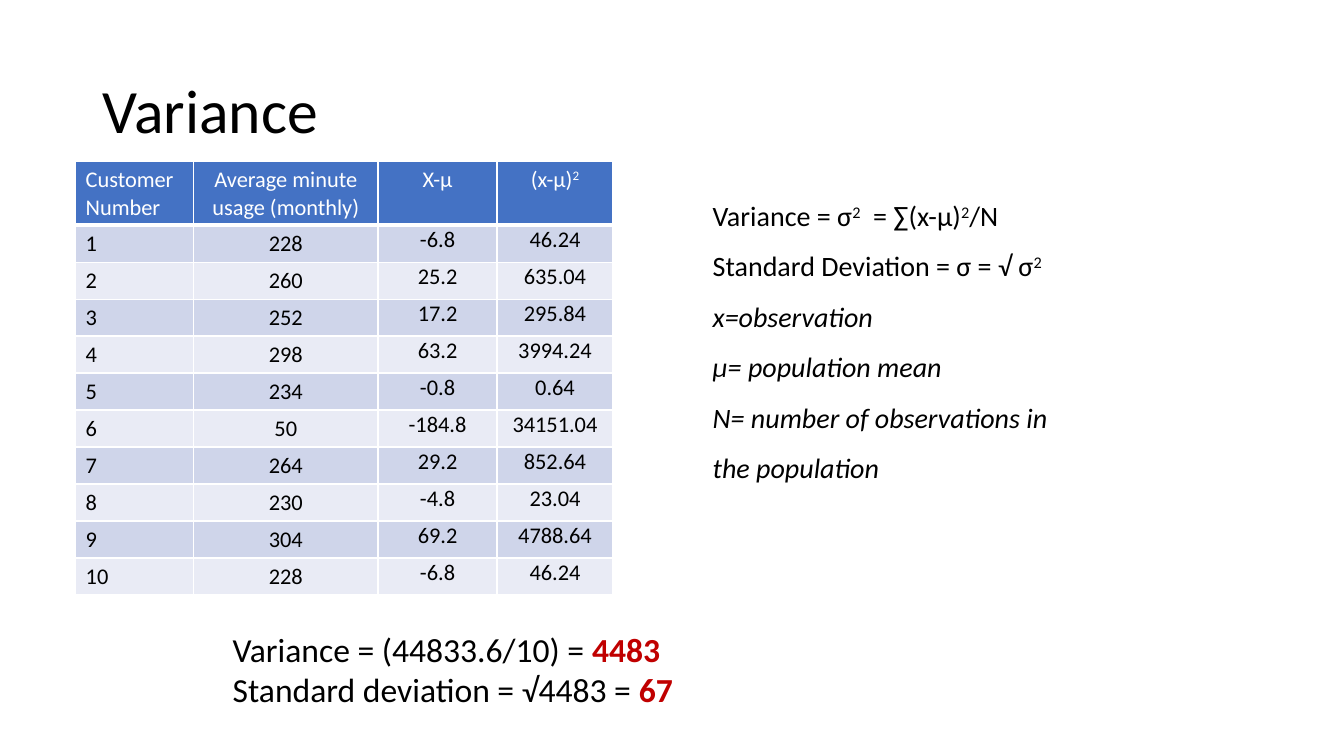
from lxml import etree
from pptx import Presentation
from pptx import util as u
from pptx.dml.color import RGBColor
from pptx.enum import text
from pptx.oxml.ns import qn

W, H = 13.33, 7.5
FONT = "Calibri"
COLORS = {"ink": "000000", "paper": "FFFFFF", "header": "4472C4",
          "odd": "CFD5EA", "even": "E9EBF5", "result": "C00000"}
HEADINGS = ["Customer Number", "Average minute usage (monthly)", "X-µ", "(x-µ)^2"]
USAGE = [
    ("228", "-6.8", "46.24"), ("260", "25.2", "635.04"),
    ("252", "17.2", "295.84"), ("298", "63.2", "3994.24"),
    ("234", "-0.8", "0.64"), ("50", "-184.8", "34151.04"),
    ("264", "29.2", "852.64"), ("230", "-4.8", "23.04"),
    ("304", "69.2", "4788.64"), ("228", "-6.8", "46.24"),
]
COL_WIDTHS = [1.17, 1.83, 1.18, 1.15]
HEADER_HEIGHT, ROW_HEIGHT = 0.54, 0.32
FORMULAS = [
    ("Variance = σ^2^  = ∑(x-µ)^2^/N", False, None),
    ("Standard Deviation = σ = √ σ^2", False, 1.5),
    ("x=observation", True, 1.5),
    ("µ= population mean", True, 1.5),
    ("N= number of observations in the population", True, 1.5),
]
RESULTS = [("Variance = (44833.6/10) = ", "4483"),
           ("Standard deviation = √4483 = ", "67")]


def rgb(name):
    return RGBColor.from_string(COLORS[name])


def write(p, words, size, color="ink", bold=False, italic=False, align=None, spacing=None):
    """Append words to a paragraph; parts between ^ marks are superscript."""
    if align is not None:
        p.alignment = align
    if spacing is not None:
        p.line_spacing = spacing
    for i, part in enumerate(words.split("^")):
        if not part:
            continue
        r = p.add_run()
        r.text = part
        f = r.font
        f.name, f.size, f.bold, f.italic = FONT, u.Pt(size), bold, italic
        f.color.rgb = rgb(color)
        if i % 2:
            r._r.get_or_add_rPr().set("baseline", "30000")


def paragraphs(tf, count):
    return [tf.paragraphs[0]] + [tf.add_paragraph() for _ in range(count - 1)]


def text_box(slide, box):
    tf = slide.shapes.add_textbox(*map(u.Inches, box)).text_frame
    tf.word_wrap = True
    tf.auto_size = text.MSO_AUTO_SIZE.SHAPE_TO_FIT_TEXT
    return tf


def add_title(slide, box, words):
    sp = slide.shapes.title
    sp.left, sp.top, sp.width, sp.height = map(u.Inches, box)
    tf = sp.text_frame
    tf.vertical_anchor = text.MSO_ANCHOR.MIDDLE
    write(tf.paragraphs[0], words, 44, align=text.PP_ALIGN.LEFT, spacing=0.9)


def add_borders(cell, bottom):
    tc_pr = cell._tc.get_or_add_tcPr()
    for i, (side, width) in enumerate((("L", 1), ("R", 1), ("T", 1), ("B", bottom))):
        ln = etree.Element(qn(f"a:ln{side}"), w=str(u.Pt(width)))
        fill = etree.SubElement(ln, qn("a:solidFill"))
        etree.SubElement(fill, qn("a:srgbClr"), val=COLORS["paper"])
        tc_pr.insert(i, ln)


def fill_cell(cell, words, row, col):
    is_header = row == 0
    cell.fill.solid()
    cell.fill.fore_color.rgb = rgb("header" if is_header else "odd" if row % 2 else "even")
    add_borders(cell, 3 if is_header else 1)
    if not is_header and col >= 2:
        cell.margin_left = cell.margin_right = cell.margin_top = u.Inches(0.01)
        cell.margin_bottom = 0
    write(cell.text_frame.paragraphs[0], words, 16,
          color="paper" if is_header else "ink",
          align=text.PP_ALIGN.CENTER if col else text.PP_ALIGN.LEFT)


def add_usage_table(slide, box):
    rows = [HEADINGS] + [(str(n), *values) for n, values in enumerate(USAGE, 1)]
    table = slide.shapes.add_table(len(rows), len(HEADINGS), *map(u.Inches, box)).table
    for column, width in zip(table.columns, COL_WIDTHS):
        column.width = u.Inches(width)
    for i, values in enumerate(rows):
        table.rows[i].height = u.Inches(ROW_HEIGHT if i else HEADER_HEIGHT)
        for j, words in enumerate(values):
            fill_cell(table.cell(i, j), words, i, j)


def add_formulas(slide, box):
    tf = text_box(slide, box)
    for p, (words, italic, spacing) in zip(paragraphs(tf, len(FORMULAS)), FORMULAS):
        write(p, words, 20, italic=italic, spacing=spacing)


def add_results(slide, box):
    tf = text_box(slide, box)
    for p, (working, answer) in zip(paragraphs(tf, len(RESULTS)), RESULTS):
        write(p, working, 24)
        write(p, answer, 24, color="result", bold=True)


def main():
    prs = Presentation()
    prs.slide_width, prs.slide_height = u.Inches(W), u.Inches(H)
    slide = prs.slides.add_slide(prs.slide_layouts[5])
    add_title(slide, (0.92, 0.4, 11.5, 1.45), "Variance")
    add_formulas(slide, (6.97, 1.92, 3.67, 3.41))
    add_usage_table(slide, (0.75, 1.6, sum(COL_WIDTHS), 4.3))
    add_results(slide, (2.21, 6.19, 7.75, 0.91))
    prs.save("out.pptx")


if __name__ == "__main__":
    main()
